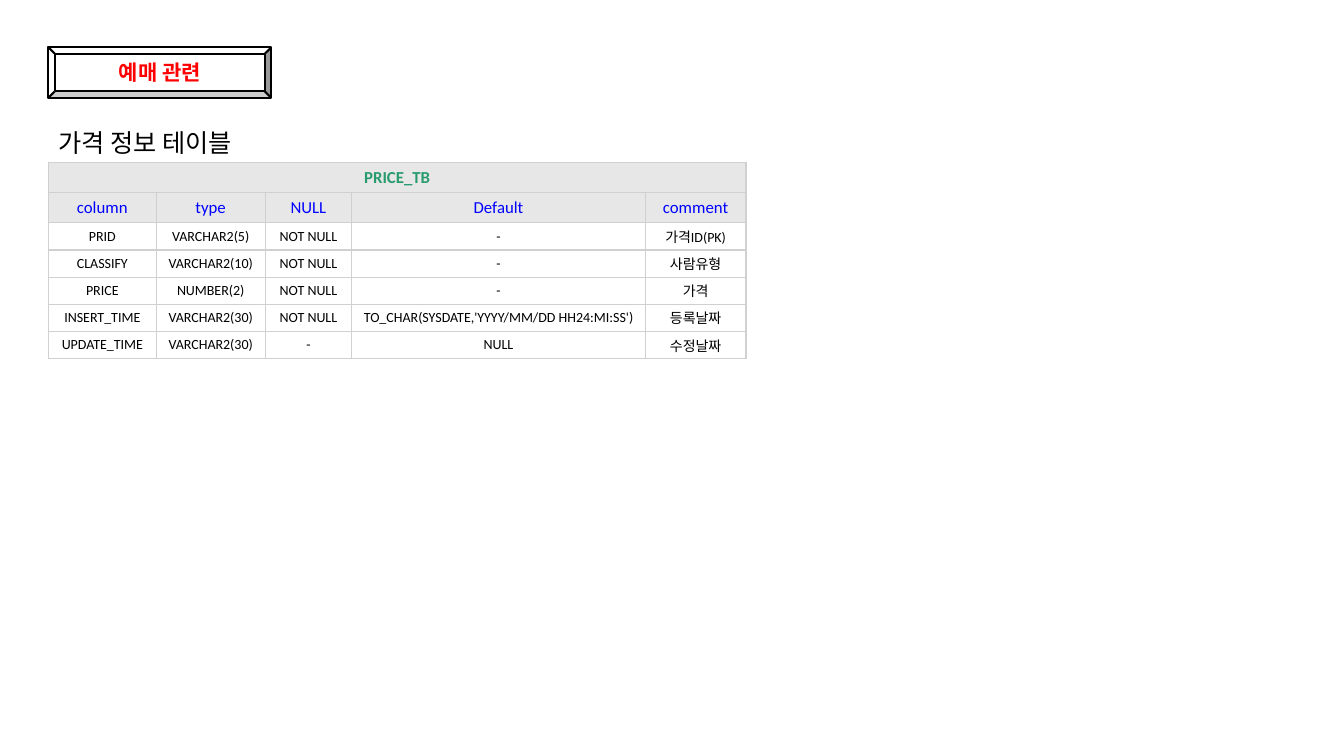
from lxml import etree
from pptx import Presentation
from pptx import util as u
from pptx.dml.color import RGBColor
from pptx.enum import shapes, text
from pptx.oxml import ns

FONT = "Calibri"
BLACK, WHITE, RED, BLUE, GREEN = "000000", "FFFFFF", "FF0000", "0000FF", "289B6E"
HEADER_FILL, GRID_LINE = "E7E7E7", "D0D0D0"
LEFT = 0.48

COLUMN_WIDTHS = [1.07, 1.08, 0.86, 2.91, 1]
HEADER_HEIGHT, ROW_HEIGHT = 0.3, 0.27
TABLE_NAME = "PRICE_TB"
HEADINGS = ["column", "type", "NULL", "Default", "comment"]
FIELDS = [
    ["PRID", "VARCHAR2(5)", "NOT NULL", "-", "가격ID(PK)"],
    ["CLASSIFY", "VARCHAR2(10)", "NOT NULL", "-", "사람유형"],
    ["PRICE", "NUMBER(2)", "NOT NULL", "-", "가격"],
    ["INSERT_TIME", "VARCHAR2(30)", "NOT NULL",
     "TO_CHAR(SYSDATE,'YYYY/MM/DD HH24:MI:SS')", "등록날짜"],
    ["UPDATE_TIME", "VARCHAR2(30)", "-", "NULL", "수정날짜"],
]


def paint(color_format, value):
    color_format.rgb = RGBColor.from_string(value)


def fill_solid(target, value):
    target.fill.solid()
    paint(target.fill.fore_color, value)


def write(frame, words, size, color, bold=False, align=text.PP_ALIGN.CENTER):
    para = frame.paragraphs[0]
    para.alignment = align
    span = para.add_run()
    span.text = words
    span.font.name = FONT
    span.font.size = u.Pt(size)
    span.font.bold = bold
    paint(span.font.color, color)


def border_cell(cell):
    """Draw a thin line on all four sides; call before the cell is filled."""
    properties = cell._tc.get_or_add_tcPr()
    for side in ("lnL", "lnR", "lnT", "lnB"):
        line = etree.SubElement(properties, ns.qn(f"a:{side}"), w=str(u.Pt(1)))
        solid = etree.SubElement(line, ns.qn("a:solidFill"))
        etree.SubElement(solid, ns.qn("a:srgbClr"), val=GRID_LINE)


def add_badge(page, words, *box):
    badge = page.shapes.add_shape(shapes.MSO_SHAPE.BEVEL, *map(u.Inches, box))
    badge.shadow.inherit = False
    badge.adjustments[0] = 0.125
    fill_solid(badge, WHITE)
    paint(badge.line.color, BLACK)
    badge.line.width = u.Pt(1.5)
    badge.text_frame.vertical_anchor = text.MSO_ANCHOR.MIDDLE
    write(badge.text_frame, words, 15, RED, bold=True)


def add_caption(page, words, *box):
    frame = page.shapes.add_textbox(*map(u.Inches, box)).text_frame
    frame.word_wrap = True
    write(frame, words, 18, BLACK, align=text.PP_ALIGN.LEFT)


def add_schema_table(page, left, top):
    rows = [[TABLE_NAME] + [""] * (len(HEADINGS) - 1), HEADINGS] + FIELDS
    heights = [HEADER_HEIGHT] * 2 + [ROW_HEIGHT] * len(FIELDS)
    box = (left, top, sum(COLUMN_WIDTHS), sum(heights))
    table = page.shapes.add_table(
        len(rows), len(HEADINGS), *map(u.Inches, box)).table
    table.horz_banding = False
    for column, width in zip(table.columns, COLUMN_WIDTHS):
        column.width = u.Inches(width)
    table.cell(0, 0).merge(table.cell(0, len(HEADINGS) - 1))

    for i, (row, height) in enumerate(zip(rows, heights)):
        table.rows[i].height = u.Inches(height)
        is_header = i < 2
        color = GREEN if i == 0 else BLUE if i == 1 else BLACK
        for j, words in enumerate(row):
            cell = table.cell(i, j)
            border_cell(cell)
            fill_solid(cell, HEADER_FILL if is_header else WHITE)
            cell.vertical_anchor = text.MSO_ANCHOR.MIDDLE
            cell.margin_top = cell.margin_bottom = u.Inches(0.03)
            if words:
                write(cell.text_frame, words, 12 if is_header else 10,
                      color, bold=i == 0)


def main():
    deck = Presentation()
    deck.slide_width, deck.slide_height = u.Inches(13.33), u.Inches(7.5)
    page = deck.slides.add_slide(deck.slide_layouts[6])
    add_badge(page, "예매 관련", LEFT, 0.47, 2.21, 0.5)
    add_caption(page, "가격 정보 테이블", LEFT, 1.21, 2.98, 0.4)
    add_schema_table(page, LEFT, 1.61)
    deck.save("out.pptx")


if __name__ == "__main__":
    main()
